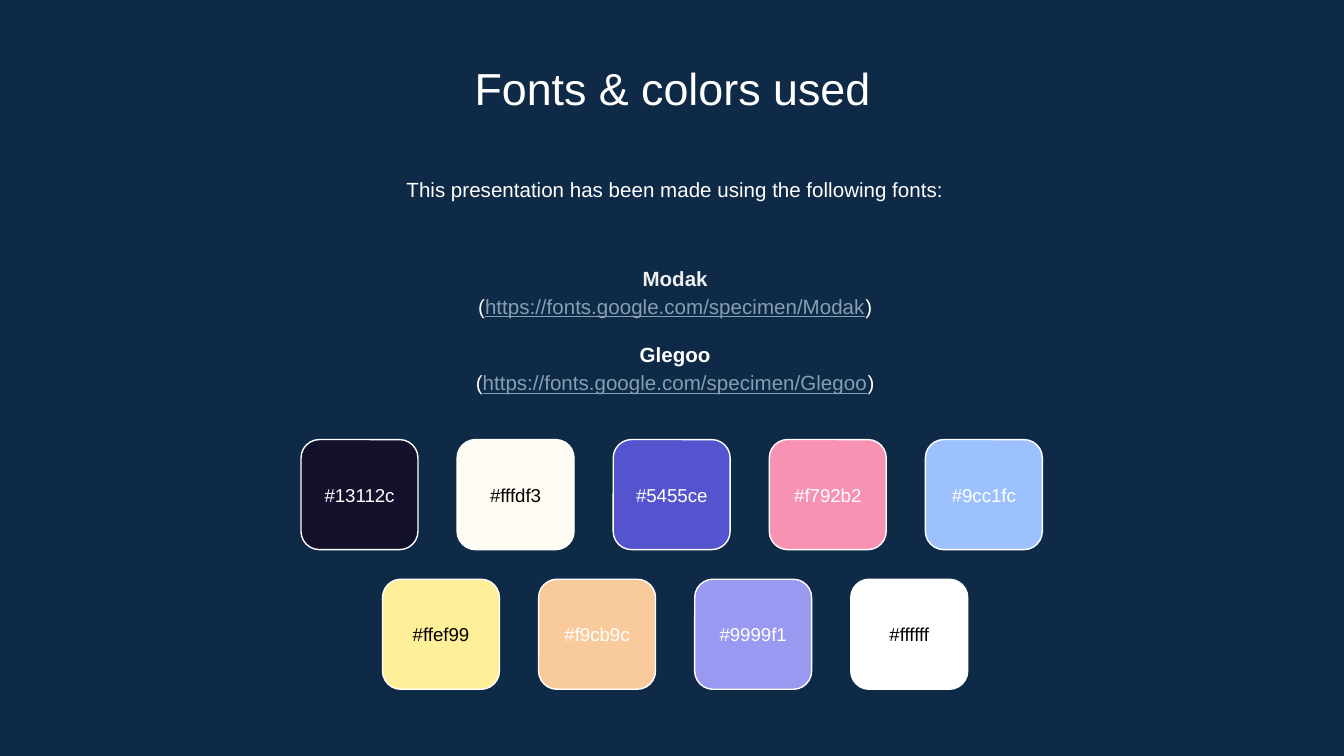
from pptx import Presentation
from pptx.dml.color import RGBColor
from pptx.enum.shapes import MSO_SHAPE
from pptx.enum.text import MSO_ANCHOR, PP_ALIGN
from pptx.util import Cm, Pt

COLORS = {"background": "0E2A47", "white": "FFFFFF", "black": "000000",
          "font name": "EFEFEF", "link": "869FB2"}


def add_run(paragraph, text, size, color, **formats):
    run = paragraph.add_run()
    run.text = text
    run.font.color.rgb = RGBColor.from_string(COLORS[color])
    for key, value in {"name": "Arial", "size": Pt(size), **formats}.items():
        setattr(run.font, key, value)


def add_text_frame(left, top, width, height, anchor=MSO_ANCHOR.TOP):
    frame = slide.shapes.add_textbox(Cm(left), Cm(top), Cm(width), Cm(height)).text_frame
    margins = {f"margin_{side}": Cm(0.25) for side in ("left", "top", "right", "bottom")}
    for key, value in {"word_wrap": True, "vertical_anchor": anchor, **margins}.items():
        setattr(frame, key, value)
    return frame


prs = Presentation()
prs.slide_width, prs.slide_height = Cm(25.4), Cm(14.29)
slide = prs.slides.add_slide(prs.slide_layouts[6])
slide.background.fill.solid()
slide.background.fill.fore_color.rgb = RGBColor.from_string(COLORS["background"])

# Title
title = add_text_frame(2.92, 0.89, 19.58, 1.35).paragraphs[0]
title.alignment = PP_ALIGN.CENTER
add_run(title, "Fonts & colors used", 24, "white")

# Introduction
intro = add_text_frame(2.97, 3.02, 19.58, 1.22).paragraphs[0]
intro.alignment, intro.line_spacing = PP_ALIGN.CENTER, 1.15
add_run(intro, "This presentation has been made using the following fonts:", 11, "white")

# Fonts with their addresses
fonts = add_text_frame(2.97, 4.47, 19.58, 3.48, MSO_ANCHOR.MIDDLE)
heading = fonts.paragraphs[0]
for font_name, name_color in (("Modak", "font name"), ("Glegoo", "white")):
    if heading.runs:
        heading = fonts.add_paragraph()
        heading.space_before = Pt(10.6)
    address = fonts.add_paragraph()
    for line in (heading, address):
        line.alignment, line.line_spacing = PP_ALIGN.CENTER, 1.15
    add_run(heading, font_name, 11, name_color, bold=True)
    add_run(address, "(", 11, "white")
    add_run(address, f"https://fonts.google.com/specimen/{font_name}", 11, "link", underline=True)
    add_run(address, ")", 11, "white")

# Colour swatches: left and top of each row, then code and label colour
SWATCH_WIDTH, SWATCH_HEIGHT, PITCH = 2.21, 2.08, 2.95
swatch_rows = [
    (5.69, 8.31, [("#13112c", "white"), ("#fffdf3", "black"), ("#5455ce", "white"),
                  ("#f792b2", "white"), ("#9cc1fc", "white")]),
    (7.23, 10.95, [("#ffef99", "black"), ("#f9cb9c", "white"), ("#9999f1", "white"),
                   ("#ffffff", "black")]),
]
for row_left, row_top, swatches in swatch_rows:
    for column, (code, label_color) in enumerate(swatches):
        swatch = slide.shapes.add_shape(
            MSO_SHAPE.ROUNDED_RECTANGLE, Cm(row_left + column * PITCH), Cm(row_top),
            Cm(SWATCH_WIDTH), Cm(SWATCH_HEIGHT))
        swatch.shadow.inherit = False
        swatch.fill.solid()
        swatch.fill.fore_color.rgb = RGBColor.from_string(code[1:].upper())
        swatch.line.color.rgb = RGBColor.from_string(COLORS["white"])
        swatch.line.width = Pt(0.75)
        label_format = {"margin_left": 0, "margin_right": 0, "word_wrap": True,
                        "vertical_anchor": MSO_ANCHOR.MIDDLE}
        for key, value in label_format.items():
            setattr(swatch.text_frame, key, value)
        label = swatch.text_frame.paragraphs[0]
        label.alignment = PP_ALIGN.CENTER
        add_run(label, code, 10, label_color)

prs.save("out.pptx")
